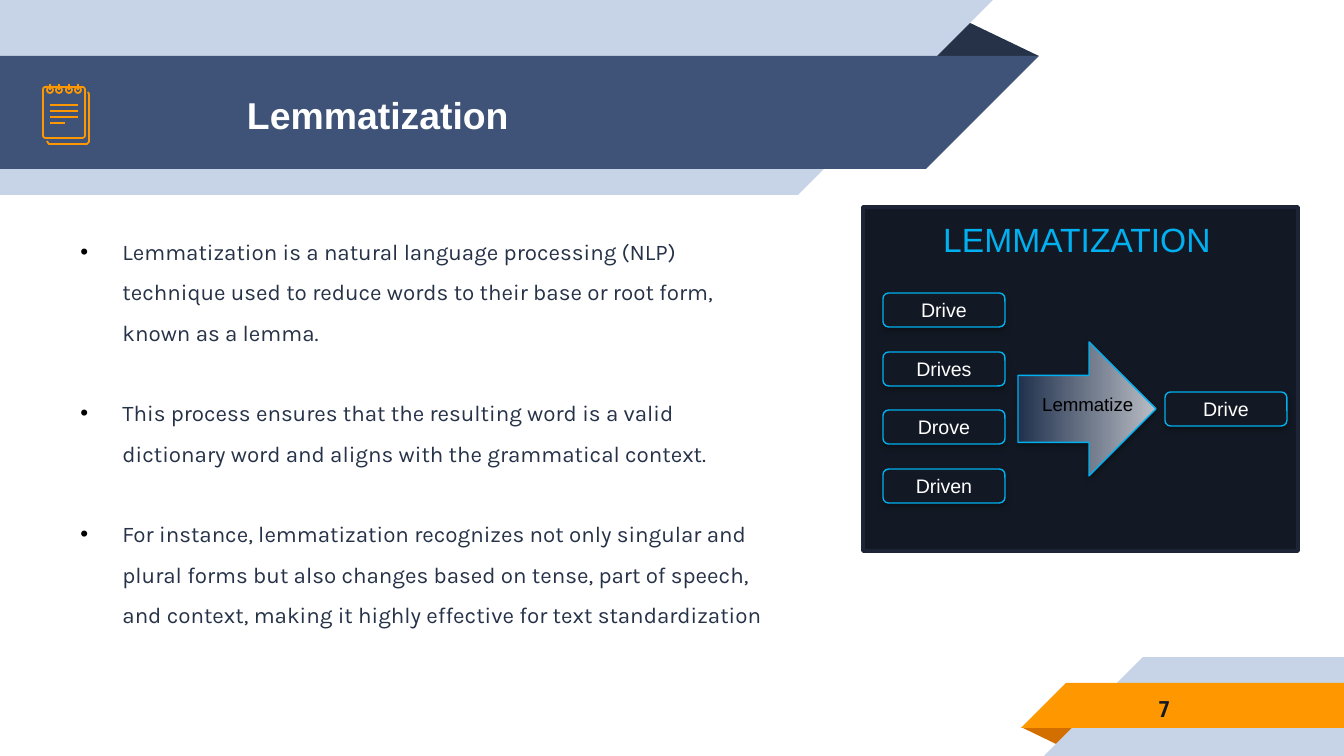
from dataclasses import dataclass

from lxml.etree import SubElement
from pptx import Presentation
from pptx.dml.color import RGBColor
from pptx.enum.shapes import MSO_CONNECTOR, MSO_SHAPE as Preset
from pptx.enum.text import MSO_ANCHOR as Anchor, MSO_AUTO_SIZE as AutoSize, PP_ALIGN as Align
from pptx.oxml.ns import qn
from pptx.util import Pt

EMU_PER_PX = 914400 / 134.4
INSET = 13


def px(length):
    return round(length * EMU_PER_PX)


@dataclass(frozen=True)
class Theme:
    pale: str = "C7D3E6"
    blue: str = "3F5378"
    navy: str = "263248"
    orange: str = "FF9800"
    rust: str = "D26F00"
    ink: str = "131924"
    frame: str = "1C2435"
    cyan: str = "00B0F0"
    white: str = "FFFFFF"
    black: str = "000000"
    arrow_start: str = "21314D"
    arrow_end: str = "B9BDC5"
    heading: tuple = ("Arial", 20, True)
    body: tuple = ("Karla", 12, False)
    number: tuple = ("Roboto Condensed", 12, True)
    diagram_title: tuple = ("Arial", 18, False)
    word: tuple = ("Arial", 10.5, False)
    label: tuple = ("Arial", 10, False)


class SlideBuilder:
    def __init__(self, slide, theme):
        self.slide, self.theme = slide, theme
        self.shapes = slide.shapes

    def set_text(self, frame, lines, style, color, align=Align.LEFT, **frame_format):
        name, size, bold = style
        settings = {"word_wrap": True, "auto_size": AutoSize.NONE, **frame_format}
        for key, value in settings.items():
            setattr(frame, key, value)
        for number, line in enumerate(lines):
            paragraph = frame.add_paragraph() if number else frame.paragraphs[0]
            paragraph.alignment = align
            run = paragraph.add_run()
            run.text = line
            for key, value in {"name": name, "size": Pt(size), "bold": bold}.items():
                setattr(run.font, key, value)
            run.font.color.rgb = RGBColor.from_string(color)

    def outline(self, item, color, width):
        item.line.color.rgb = RGBColor.from_string(color)
        item.line.width = Pt(width)

    def shape(self, preset, box, fill=None, line=None, width=0.75, rotation=0):
        item = self.shapes.add_shape(preset, *map(px, box))
        item.shadow.inherit = False
        item.rotation = rotation
        if fill:
            item.fill.solid()
            item.fill.fore_color.rgb = RGBColor.from_string(fill)
        else:
            item.fill.background()
        if line:
            self.outline(item, line, width)
        else:
            item.line.fill.background()
        return item

    def slanted_band(self, left, top, width, height, color, flip):
        """Rectangle with a 45° end: right end for flipV, left end for flipH."""
        self.shape(Preset.RECTANGLE, (left, top, width, height), color)
        end_left = left + width if flip == "flipV" else left - height
        end = self.shape(Preset.RIGHT_TRIANGLE, (end_left, top, height, height), color)
        end._element.spPr.xfrm.set(flip, "1")

    def fold(self, box, color, rotation=0):
        corner = self.shape(Preset.ISOSCELES_TRIANGLE, box, color, rotation=rotation)
        corner.adjustments[0] = 0.324

    def stroke(self, x1, y1, x2, y2, color, width):
        item = self.shapes.add_connector(MSO_CONNECTOR.STRAIGHT, *map(px, (x1, y1, x2, y2)))
        self.outline(item, color, width)
        SubElement(item._element.spPr, qn("a:effectLst"))

    def polyline(self, points, color, width):
        builder = self.shapes.build_freeform(*points[0], scale=EMU_PER_PX)
        builder.add_line_segments(points[1:], close=False)
        item = builder.convert_to_shape()
        item.shadow.inherit = False
        item.fill.background()
        self.outline(item, color, width)

    def drop_shadow(self, item):
        effects = item._element.spPr.find(qn("a:effectLst"))
        shadow = SubElement(effects, qn("a:outerShdw"), blurRad="40000", dist="23000",
                            dir="5400000", rotWithShape="0")
        color = SubElement(shadow, qn("a:srgbClr"), val=self.theme.black)
        SubElement(color, qn("a:alpha"), val="35000")

    def text(self, box, line, style, color, **text_format):
        frame = self.shapes.add_textbox(*map(px, box)).text_frame
        self.set_text(frame, [line], style, color, **text_format)

    def placeholder(self, index, box):
        """Move a template placeholder into place and in front of what is drawn."""
        item = self.slide.placeholders[index]
        for key, value in zip(("left", "top", "width", "height"), box):
            setattr(item, key, px(value))
        item._element.getparent().append(item._element)
        return item.text_frame

    def title(self, box, line, indent):
        self.set_text(self.placeholder(0, box), [line], self.theme.heading, self.theme.white,
                      vertical_anchor=Anchor.MIDDLE, margin_left=px(indent))

    def bullets(self, box, lines, indent, gap):
        frame = self.placeholder(1, box)
        self.set_text(frame, lines, self.theme.body, self.theme.navy, vertical_anchor=Anchor.TOP)
        for number, paragraph in enumerate(frame.paragraphs):
            spacing = {"line_spacing": 1.5, "space_before": Pt(gap if number else 0),
                       "space_after": Pt(0)}
            for key, value in spacing.items():
                setattr(paragraph, key, value)
            properties = paragraph._p.get_or_add_pPr()
            properties.set("marL", str(px(indent)))
            properties.set("indent", str(-px(indent)))
            color = SubElement(properties, qn("a:buClr"))
            SubElement(color, qn("a:srgbClr"), val=self.theme.black)
            SubElement(properties, qn("a:buFont"), typeface="Arial")
            SubElement(properties, qn("a:buChar"), char="•")

    def word_box(self, left, top, word):
        item = self.shape(Preset.ROUNDED_RECTANGLE, (left, top, 122, 34),
                          self.theme.ink, self.theme.cyan)
        self.drop_shadow(item)
        self.set_text(item.text_frame, [word], self.theme.word, self.theme.white,
                      align=Align.CENTER, vertical_anchor=Anchor.MIDDLE)

    def gradient_arrow(self, box):
        arrow = self.shape(Preset.UP_ARROW, box, line=self.theme.cyan, rotation=90)
        arrow.fill.gradient()
        arrow.fill.gradient_angle = 90
        stops = (self.theme.arrow_start, self.theme.arrow_end)
        for stop, color in zip(arrow.fill.gradient_stops, stops):
            stop.color.rgb = RGBColor.from_string(color)
        self.drop_shadow(arrow)

    def notepad_icon(self):
        pen = {"color": self.theme.orange, "width": 0.96}
        self.polyline([(47, 141), (49, 144), (87, 144), (89, 142), (89, 94), (88, 92)], **pen)
        sheet = self.shape(Preset.ROUNDED_RECTANGLE, (43, 87, 42, 51),
                           line=self.theme.orange, width=0.96)
        sheet.adjustments[0] = 0.06
        for row in range(4):
            self.stroke(50, 105 + 6 * row, 65 if row == 3 else 78, 105 + 6 * row, **pen)
        for column in range(4):
            ring = 50 + round(9.4 * column)
            self.shape(Preset.OVAL, (ring - 3, 87, 6, 6), line=self.theme.orange, width=0.96)
            self.stroke(ring, 84, ring, 90, **pen)


def main():
    deck = Presentation()
    deck.slide_width, deck.slide_height = px(1344), px(756)
    theme = Theme()
    page = SlideBuilder(deck.slides.add_slide(deck.slide_layouts[1]), theme)

    page.fold((925, 19, 114, 37), theme.navy)
    page.slanted_band(0, 0, 798, 195, theme.pale, "flipV")
    page.slanted_band(0, 56, 926, 113, theme.blue, "flipV")
    page.fold((1021, 727, 58, 19), theme.rust, rotation=180)
    page.slanted_band(1143, 657, 201, 99, theme.pale, "flipH")
    page.slanted_band(1066, 683, 278, 45, theme.orange, "flipH")

    page.title((120, 58, 773, 113), "Lemmatization", indent=127)
    page.text((1090, 687, 93, 43), "7", theme.number, theme.ink, align=Align.RIGHT,
              vertical_anchor=Anchor.MIDDLE, margin_right=px(INSET))
    page.notepad_icon()
    page.bullets((67, 218, 711, 407), [
        "Lemmatization is a natural language processing (NLP) technique used to reduce words "
        "to their base or root form, known as a lemma.",
        "This process ensures that the resulting word is a valid dictionary word and aligns "
        "with the grammatical context.",
        "For instance, lemmatization recognizes not only singular and plural forms but also "
        "changes based on tense, part of speech, and context, making it highly effective for "
        "text standardization",
    ], indent=42, gap=21.6)

    page.shape(Preset.RECTANGLE, (863, 207, 435, 344), theme.ink, theme.frame, width=2)
    page.text((930, 212, 301, 54), "LEMMATIZATION", theme.diagram_title, theme.cyan)
    for row, form in enumerate(("Drive", "Drives", "Drove", "Driven")):
        page.word_box(883, 293 + round(58.6 * row), form)
    page.word_box(1165, 392, "Drive")
    page.gradient_arrow((1020, 340, 134, 138))
    page.text((1029, 386, 122, 36), "Lemmatize", theme.label, theme.black)

    deck.save("out.pptx")


if __name__ == "__main__":
    main()
